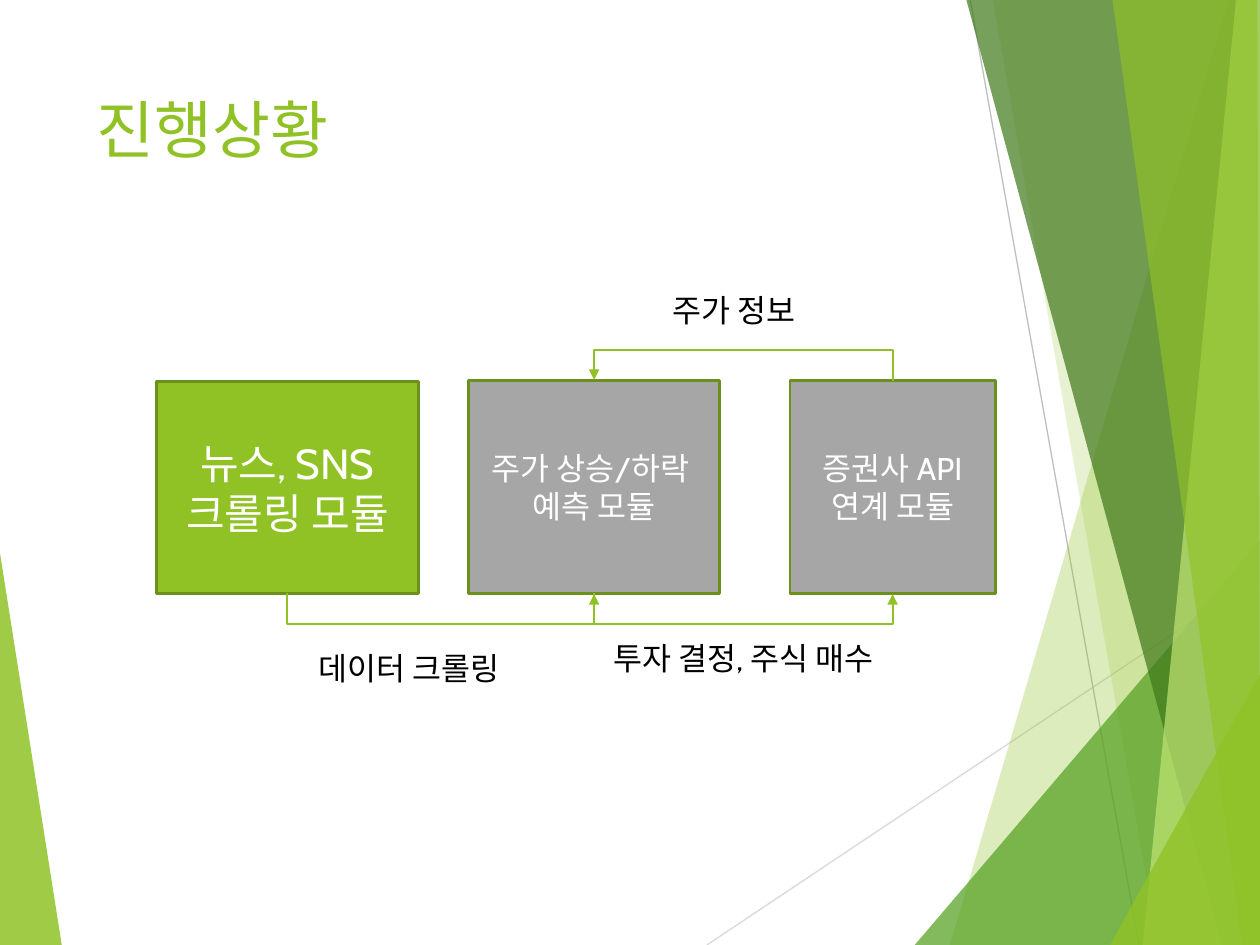
from lxml.etree import SubElement
from pptx import Presentation
from pptx.dml.color import RGBColor
from pptx.enum.shapes import MSO_CONNECTOR as LINK, MSO_SHAPE as SHAPE
from pptx.enum.text import MSO_ANCHOR as ANCHOR, PP_ALIGN as ALIGN
from pptx.oxml.ns import qn
from pptx.util import Inches, Pt

GREEN, EDGE, GREY = "90C226", "6B901C", "A6A6A6"
WIDTH, HEIGHT = 10, 7.5


def paint(target, color, alpha=100):
    """Give a fill or line format a solid colour, alpha in percent."""
    target.solid()
    target.fore_color.rgb = RGBColor.from_string(color)
    if alpha < 100:
        node = target._xPr.find(qn("a:solidFill"))[0]
        SubElement(node, qn("a:alpha"), val=str(alpha * 1000))


def write(shape, lines, size, color, align=ALIGN.LEFT, wrap=True):
    frame = shape.text_frame
    frame.word_wrap = wrap
    for index, line in enumerate(lines):
        para = frame.add_paragraph() if index else frame.paragraphs[0]
        para.alignment = align
        span = para.add_run()
        span.text = line
        for name, value in {"name": "Cabin", "size": Pt(size)}.items():
            setattr(span.font, name, value)
        span.font.color.rgb = RGBColor.from_string(color)


deck = Presentation()
deck.slide_width, deck.slide_height = Inches(WIDTH), Inches(HEIGHT)
page = deck.slides.add_slide(deck.slide_layouts[6])
shapes = page.shapes

# Thin lines behind the facets
for x1, y1, x2, y2, color in [
    (5.61, HEIGHT, WIDTH, 4.57, "D9D9D9"),
    (7.7, 0, 9.04, HEIGHT, "BFBFBF"),
]:
    ray = shapes.add_connector(LINK.STRAIGHT, *map(Inches, (x1, y1, x2, y2)))
    paint(ray.line.fill, color)
    ray.line.width = Pt(0.75)
    SubElement(ray._element.spPr, qn("a:effectLst"))

# Translucent facets along both edges, drawn on a grid of 0.01 inch
facets = [
    ([(0, 4.39), (0.49, HEIGHT), (0, HEIGHT)], GREEN, 85),
    ([(9.75, 0), (7.54, HEIGHT), (WIDTH, HEIGHT), (WIDTH, 0)], GREEN, 30),
    ([(7.88, 0), (9.19, HEIGHT), (WIDTH, HEIGHT), (WIDTH, 0)], GREEN, 20),
    ([(7.26, HEIGHT), (WIDTH, 4.29), (WIDTH, HEIGHT)], "54A021", 72),
    ([(7.67, 0), (9.7, HEIGHT), (WIDTH, HEIGHT), (WIDTH, 0)], "3F7819", 70),
    ([(9.81, 0), (9.07, HEIGHT), (WIDTH, HEIGHT), (WIDTH, 0)], "C0E474", 70),
    ([(8.83, 0), (9.86, HEIGHT), (WIDTH, HEIGHT), (9.98, 0)], GREEN, 65),
    ([(8.81, HEIGHT), (WIDTH, 5.35), (WIDTH, HEIGHT)], GREEN, 80),
]
for points, color, alpha in facets:
    start, *rest = [(round(x * 100), round(y * 100)) for x, y in points]
    builder = shapes.build_freeform(*start, scale=Inches(0.01))
    builder.add_line_segments(rest, close=True)
    facet = builder.convert_to_shape()
    facet.shadow.inherit = False
    facet.line.fill.background()
    paint(facet.fill, color, alpha)

# Title and arrow labels
for left, top, width, height, text, size, color, wrap in [
    (0.67, 0.67, 6.94, 1.44, "진행상황", 36, GREEN, True),
    (2.43, 5.1, 1.79, 0.4, "데이터 크롤링", 18, "000000", False),
    (5.24, 2.26, 1.62, 0.4, "주가 정보", 18, "000000", True),
    (4.77, 5.02, 2.56, 0.4, "투자 결정, 주식 매수", 18, "000000", True),
]:
    label = shapes.add_textbox(*map(Inches, (left, top, width, height)))
    write(label, [text], size, color, wrap=wrap)

# Modules
BOTTOM = 4.71
modules = []
for left, top, width, fill, size, lines in [
    (1.24, 3.03, 2.08, GREEN, 24, ["뉴스, SNS", "크롤링 모듈"]),
    (3.72, 3.02, 1.99, GREY, 18, ["주가 상승/하락 ", "예측 모듈"]),
    (6.27, 3.02, 1.63, GREY, 18, ["증권사 API 연계 모듈"]),
]:
    box = shapes.add_shape(
        SHAPE.RECTANGLE, *map(Inches, (left, top, width, BOTTOM - top))
    )
    box.shadow.inherit = False
    paint(box.fill, fill)
    paint(box.line.fill, EDGE)
    box.line.width = Pt(1.5)
    box.text_frame.vertical_anchor = ANCHOR.MIDDLE
    write(box, lines, size, "FFFFFF", ALIGN.CENTER)
    modules.append(box)
crawler, predictor, broker = modules

# U-shaped arrows: a thin elbow turned by 270 degrees, bulging out by BULGE
THIN, BULGE = 0.01, 0.25
for source, target, site, flip in [
    (crawler, predictor, 2, "flipH"),
    (broker, predictor, 0, "flipV"),
    (predictor, broker, 2, "flipH"),
]:
    arrow = shapes.add_connector(LINK.ELBOW, 0, 0, 0, 0)
    arrow.begin_connect(source, site)
    arrow.end_connect(target, site)
    starts, ends = (box.left + box.width // 2 for box in (source, target))
    level = source.top + (source.height if site == 2 else 0)
    reach = abs(ends - starts)
    for name, value in {
        "left": (starts + ends - Inches(THIN)) // 2,
        "top": level - reach // 2,
        "width": Inches(THIN),
        "height": reach,
    }.items():
        setattr(arrow, name, value)
    frame = arrow._element.spPr.find(qn("a:xfrm"))
    for name in ("flipH", "flipV"):
        frame.attrib.pop(name, None)
    frame.set(flip, "1")
    frame.set("rot", str(270 * 60000))
    guides = arrow._element.spPr.find(qn("a:prstGeom")).get_or_add_avLst()
    bulge = round(BULGE / THIN * 100000)
    SubElement(guides, qn("a:gd"), name="adj1", fmla=f"val {bulge}")
    paint(arrow.line.fill, GREEN)
    arrow.line.width = Pt(1)
    SubElement(arrow.line._get_or_add_ln(), qn("a:tailEnd"), type="triangle")
    SubElement(arrow._element.spPr, qn("a:effectLst"))

deck.save("out.pptx")
